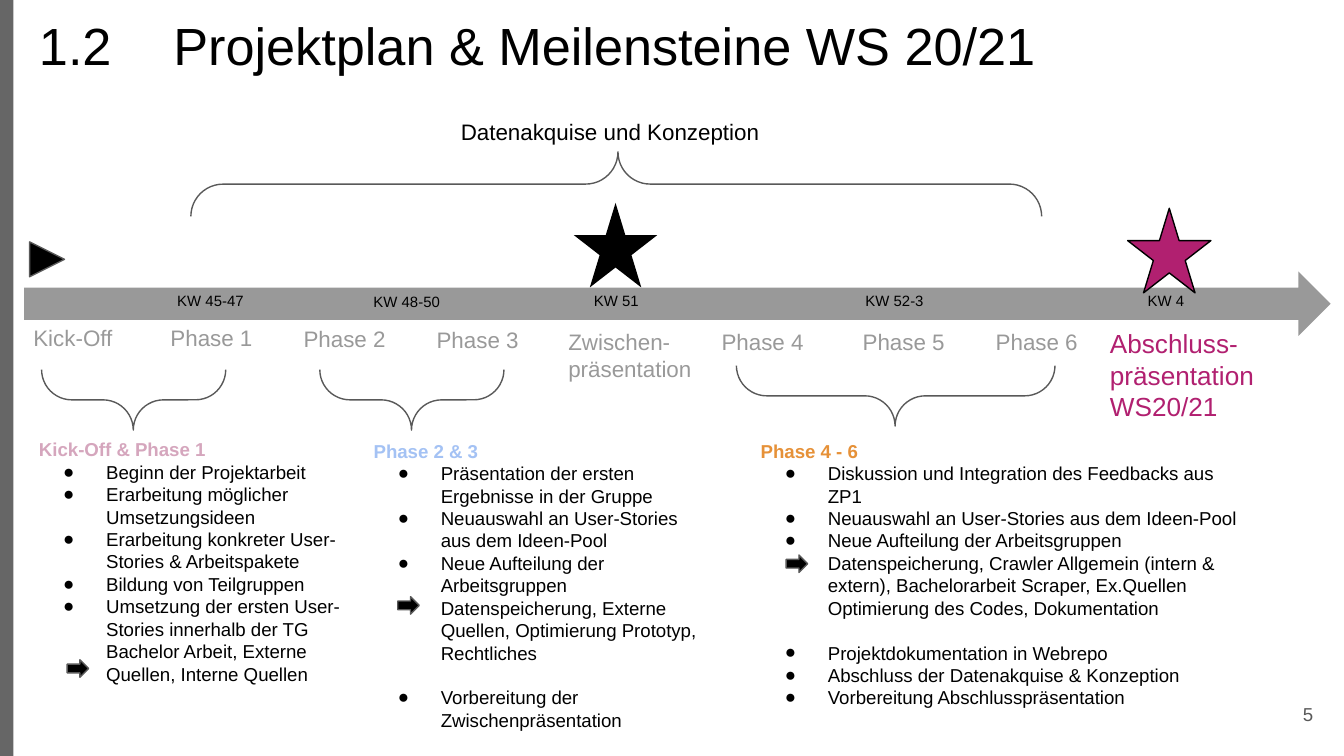
from lxml.etree import SubElement
from pptx import Presentation
from pptx.dml.color import RGBColor
from pptx.enum.shapes import MSO_SHAPE as Preset
from pptx.enum.text import MSO_ANCHOR as Anchor, MSO_AUTO_SIZE as AutoSize, PP_ALIGN as Align
from pptx.oxml.ns import qn
from pptx.util import Inches, Pt

THEME = {
    "font": "Arial",
    "black": "000000", "gray": "999999", "dark": "595959", "bar": "666666",
    "magenta": "B12070", "rose": "D5A6BD", "blue": "A4C2F4", "orange": "E69138",
    "title": 28, "final": 14, "label": 12, "body": 10, "week": 8,
}
SLIDE_WIDTH = 10
SLIDE_HEIGHT = SLIDE_WIDTH * 9 / 16

TITLE = "1.2\tProjektplan & Meilensteine WS 20/21"
BRACE_LABEL = "Datenakquise und Konzeption"
PAGE_NUMBER = "5"

# left, top, width, lines
STAGES = [
    (0.15, 2.36, 0.83, ["Kick-Off"]),
    (1.17, 2.36, 1.24, ["Phase 1"]),
    (2.16, 2.37, 1.09, ["Phase 2"]),
    (3.15, 2.38, 1.09, ["Phase 3"]),
    (4.13, 2.39, 1.19, ["Zwischen-", "präsentation"]),
    (5.27, 2.39, 1.09, ["Phase 4"]),
    (6.32, 2.39, 1.09, ["Phase 5"]),
    (7.31, 2.39, 1.09, ["Phase 6"]),
]
FINAL_STAGE = (8.16, 2.39, 1.69, ["Abschluss-", "präsentation WS20/21"])

# left, top, width, text
WEEKS = [
    (1.22, 2.07, 0.75, "KW 45-47"),
    (2.68, 2.08, 0.75, "KW 48-50"),
    (4.32, 2.07, 0.75, "KW 51"),
    (6.34, 2.07, 0.75, "KW 52-3"),
    (8.44, 2.07, 0.48, "KW 4"),
]

# left, top, span, depth, rotation
BRACES = [
    (0.31, 2.75, 1.37, 0.45, 270),
    (2.38, 2.75, 1.37, 0.45, 270),
    (5.48, 2.72, 2.37, 0.45, 270),
    (1.42, 1.13, 6.33, 0.48, 90),
]
RESULT_ARROWS = [(0.5, 4.91), (2.96, 4.44), (5.85, 4.13)]

# "bullet" has a dot, "result" is only indented, "last" is a bullet after a gap
COLUMNS = [
    {"frame": (0.19, 3.21, 2.5, 2.04), "inset": 0.05, "color": "rose",
     "heading": "Kick-Off & Phase 1", "items": [
         ("bullet", "Beginn der Projektarbeit"),
         ("bullet", "Erarbeitung möglicher Umsetzungsideen"),
         ("bullet", "Erarbeitung konkreter User-Stories & Arbeitspakete"),
         ("bullet", "Bildung von Teilgruppen"),
         ("bullet", "Umsetzung der ersten User-Stories innerhalb der TG"),
         ("result", "Bachelor Arbeit, Externe Quellen, Interne Quellen")]},
    {"frame": (2.68, 3.17, 2.67, 3), "inset": 0.1, "color": "blue",
     "heading": "Phase 2 & 3", "items": [
         ("bullet", "Präsentation der ersten Ergebnisse in der Gruppe"),
         ("bullet", "Neuauswahl an User-Stories aus dem Ideen-Pool"),
         ("bullet", "Neue Aufteilung der Arbeitsgruppen"),
         ("result", "Datenspeicherung, Externe Quellen, Optimierung Prototyp,"),
         ("result", "Rechtliches"),
         ("last", "Vorbereitung der Zwischenpräsentation")]},
    {"frame": (5.56, 3.17, 3.77, 3), "inset": 0.1, "color": "orange",
     "heading": "Phase 4 - 6", "items": [
         ("bullet", "Diskussion und Integration des Feedbacks aus ZP1"),
         ("bullet", "Neuauswahl an User-Stories aus dem Ideen-Pool"),
         ("bullet", "Neue Aufteilung der Arbeitsgruppen"),
         ("result", "Datenspeicherung, Crawler Allgemein (intern & extern), Bachelorarbeit "
                    "Scraper, Ex.Quellen Optimierung des Codes, Dokumentation"),
         ("last", "Projektdokumentation in Webrepo"),
         ("bullet", "Abschluss der Datenakquise & Konzeption"),
         ("bullet", "Vorbereitung Abschlusspräsentation")]},
]


def color(name):
    return RGBColor.from_string(THEME[name])


def place(shape, frame):
    shape.left, shape.top, shape.width, shape.height = map(Inches, frame)


def style(para, size, tint, bold=False):
    font = para.font
    font.name, font.size, font.bold = THEME["font"], Pt(THEME[size]), bold
    font.color.rgb = color(tint)


def prepare(text_frame, inset, anchor=Anchor.TOP, wrap=True):
    text_frame.word_wrap, text_frame.auto_size = wrap, AutoSize.NONE
    text_frame.vertical_anchor = anchor
    text_frame.margin_left = text_frame.margin_right = Inches(0.1)
    text_frame.margin_top = text_frame.margin_bottom = Inches(inset)


def add_label(page, frame, lines, size, tint, inset=0.05, align=Align.LEFT,
              anchor=Anchor.TOP, wrap=True):
    box = page.shapes.add_textbox(*map(Inches, frame))
    prepare(box.text_frame, inset, anchor, wrap)
    box.text_frame.text = "\n".join(lines)
    for para in box.text_frame.paragraphs:
        para.alignment = align
        style(para, size, tint)


def add_preset(page, preset, frame, fill=None, line=None, rotation=0):
    shape = page.shapes.add_shape(preset, *map(Inches, frame))
    shape.shadow.inherit = False
    shape.rotation = rotation
    if fill:
        shape.fill.solid()
        shape.fill.fore_color.rgb = color(fill)
    else:
        shape.fill.background()
    if line:
        shape.line.color.rgb = color(line)
        shape.line.width = Pt(0.75)
    else:
        shape.line.fill.background()
    return shape


def add_brace(page, left, top, span, depth, rotation):
    """Lay a left brace on its side so that it covers span by depth."""
    shift = (span - depth) / 2
    brace = add_preset(page, Preset.LEFT_BRACE, (left + shift, top - shift, depth, span),
                       line="dark", rotation=rotation)
    brace.adjustments[0] = 0.5
    brace.adjustments[1] = 0.498


def set_bullet(para, indent, hanging, mark=None):
    props = para._p.get_or_add_pPr()
    props.set("marL", str(Inches(indent)))
    props.set("indent", str(-Inches(hanging)))
    if mark:
        tint = SubElement(props, qn("a:buClr"))
        SubElement(tint, qn("a:srgbClr")).set("val", THEME["black"])
        SubElement(props, qn("a:buChar")).set("char", mark)
    else:
        SubElement(props, qn("a:buNone"))


def fill_column(holder, column):
    place(holder, column["frame"])
    text_frame = holder.text_frame
    prepare(text_frame, column["inset"])
    text_frame.text = "\n".join([column["heading"]] + [text for _, text in column["items"]])
    kinds = ["heading"] + [kind for kind, _ in column["items"]]
    for para, kind in zip(text_frame.paragraphs, kinds):
        if kind == "heading":
            set_bullet(para, 0, 0)
            style(para, "body", column["color"], bold=True)
        else:
            dotted = kind != "result"
            set_bullet(para, 0.5, 0.32 if dotted else 0, "●" if dotted else None)
            style(para, "body", "black")
        para.alignment = Align.LEFT
        para.space_before = Pt(12 if kind == "last" else 0)


def main():
    deck = Presentation()
    deck.slide_width, deck.slide_height = Inches(SLIDE_WIDTH), Inches(SLIDE_HEIGHT)
    page = deck.slides.add_slide(deck.slide_layouts.get_by_name("Comparison"))
    title, *holders = page.placeholders

    place(title, (0.19, 0, 9.32, 0.63))
    prepare(title.text_frame, 0.1)
    title.text_frame.text = TITLE
    heading = title.text_frame.paragraphs[0]
    heading.alignment = Align.LEFT
    style(heading, "title", "black")

    for holder, column in zip(holders, COLUMNS):
        fill_column(holder, column)
    for spare in holders[len(COLUMNS):]:
        spare.element.getparent().remove(spare.element)

    add_preset(page, Preset.RECTANGLE, (0, 0, 0.1, SLIDE_HEIGHT), "bar")
    add_label(page, (9.27, 5.1, 0.6, 0.43), [PAGE_NUMBER], "body", "dark", 0.1,
              Align.RIGHT, Anchor.MIDDLE)
    add_label(page, (3.33, 0.83, 2.85, 0.38), [BRACE_LABEL], "label", "black")

    add_preset(page, Preset.RIGHT_ARROW, (0.18, 2.02, 9.72, 0.48), "gray")
    add_preset(page, Preset.ISOSCELES_TRIANGLE, (0.22, 1.8, 0.26, 0.26), "black", "dark", 90)
    add_preset(page, Preset.STAR_5_POINT, (4.27, 1.51, 0.62, 0.63), "black")
    add_preset(page, Preset.STAR_5_POINT, (8.39, 1.55, 0.62, 0.63), "magenta", "black")
    for brace in BRACES:
        add_brace(page, *brace)
    for left, top in RESULT_ARROWS:
        add_preset(page, Preset.RIGHT_ARROW, (left, top, 0.16, 0.13), "black", "dark")

    for left, top, width, lines in STAGES:
        add_label(page, (left, top, width, 0.36), lines, "label", "gray")
    left, top, width, lines = FINAL_STAGE
    add_label(page, (left, top, width, 0.36), lines, "final", "magenta")
    for left, top, width, week in WEEKS:
        add_label(page, (left, top, width, 0.34), [week], "week", "black", 0.1, wrap=False)

    deck.save("out.pptx")


if __name__ == "__main__":
    main()
